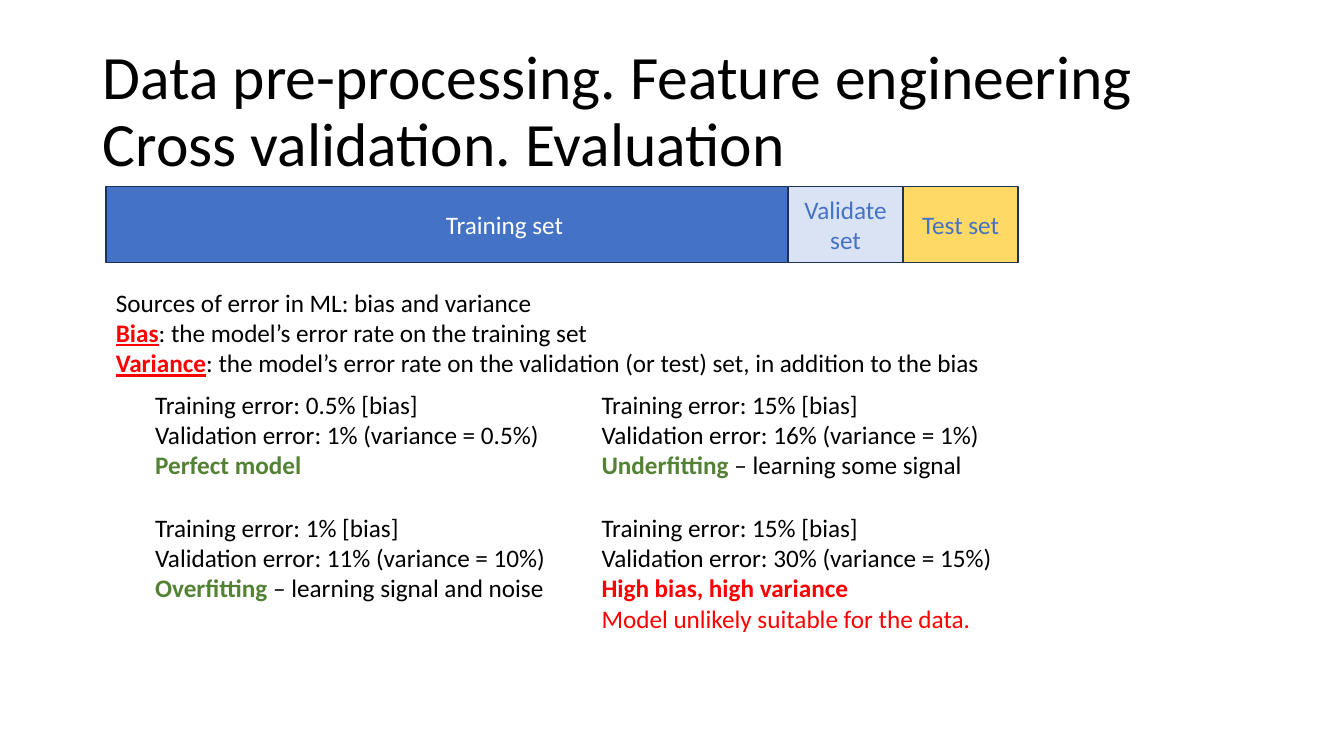
from pptx import Presentation
from pptx.util import Cm, Pt
from pptx.dml.color import RGBColor
from pptx.enum import shapes, text as tx

THEME = {
    "font": "Calibri", "head": 44, "body": 18, "edge": "1E3256",
    "black": "000000", "white": "FFFFFF", "blue": "4472C4",
    "pale": "DAE3F3", "gold": "FFD966", "red": "FF0000", "green": "548235",
}
PLAIN = {"ink": "black"}
TERM = {"ink": "red", "bold": True, "underline": True}
GOOD = {"ink": "green", "bold": True}
BAD = {"ink": "red", "bold": True}
WARN = {"ink": "red"}

TITLE = ["Data pre-processing. Feature engineering", "Cross validation. Evaluation"]
BARS = [
    ("Training set", 2.67, 20.09, "blue", "white"),
    ("Test set", 22.76, 2.9, "gold", "blue"),
    ("Validate set", 19.86, 2.9, "pale", "blue"),
]
INTRO = [
    [("Sources of error in ML: bias and variance", PLAIN)],
    [("Bias", TERM), (": the model’s error rate on the training set", PLAIN)],
    [("Variance", TERM),
     (": the model’s error rate on the validation (or test) set, in addition to the bias", PLAIN)],
]
CASES = [
    ("0.5%", "1%", "0.5%", [[("Perfect model", GOOD)]]),
    ("1%", "11%", "10%",
     [[("Overfitting ", GOOD), ("– learning signal and noise", PLAIN)]]),
    ("15%", "16%", "1%",
     [[("Underfitting ", GOOD), ("– learning some signal", PLAIN)]]),
    ("15%", "30%", "15%",
     [[("High bias, high variance", BAD)],
      [("Model unlikely suitable for the data.", WARN)]]),
]


def style(run, ink, size="body", **marks):
    run.font.color.rgb = RGBColor.from_string(THEME[ink])
    form = {"name": THEME["font"], "size": Pt(THEME[size]), **marks}
    for key, val in form.items():
        setattr(run.font, key, val)


def add_run(para, words, **form):
    run = para.add_run()
    run.text = words
    style(run, **form)


def add_text(slide, box, lines, wrap=True):
    frame = slide.shapes.add_textbox(*map(Cm, box)).text_frame
    frame.word_wrap = wrap
    frame.auto_size = tx.MSO_AUTO_SIZE.SHAPE_TO_FIT_TEXT
    for i, line in enumerate(lines):
        para = frame.add_paragraph() if i else frame.paragraphs[0]
        for words, form in line:
            add_run(para, words, **form)


def add_title(slide):
    frame = slide.shapes.add_textbox(*map(Cm, (2.34, 1.01, 29.21, 3.68))).text_frame
    frame.word_wrap = True
    frame.vertical_anchor = tx.MSO_ANCHOR.MIDDLE
    para = frame.paragraphs[0]
    para.line_spacing = 0.9
    for i, words in enumerate(TITLE):
        if i:
            para.add_line_break()
        add_run(para, words, ink="black", size="head")


def add_bar(slide, words, left, width, fill, ink):
    bar = slide.shapes.add_shape(
        shapes.MSO_SHAPE.RECTANGLE, Cm(left), Cm(4.7), Cm(width), Cm(1.91))
    bar.shadow.inherit = False
    bar.fill.solid()
    bar.fill.fore_color.rgb = RGBColor.from_string(THEME[fill])
    bar.line.color.rgb = RGBColor.from_string(THEME["edge"])
    bar.line.width = Pt(1)
    frame = bar.text_frame
    frame.word_wrap = True
    frame.vertical_anchor = tx.MSO_ANCHOR.MIDDLE
    para = frame.paragraphs[0]
    para.alignment = tx.PP_ALIGN.CENTER
    add_run(para, words, ink=ink)


def main():
    deck = Presentation()
    deck.slide_width, deck.slide_height = Cm(33.87), Cm(19.05)
    slide = deck.slides.add_slide(deck.slide_layouts[6])
    add_title(slide)
    for bar in BARS:
        add_bar(slide, *bar)
    add_text(slide, (2.67, 7.11, 22.53, 2.57), INTRO, wrap=False)
    for i, (train, valid, gap, notes) in enumerate(CASES):
        col, row = divmod(i, 2)
        lines = [
            [(f"Training error: {train} [bias]", PLAIN)],
            [(f"Validation error: {valid} (variance = {gap})", PLAIN)],
        ] + notes
        high = 0.29 + 0.76 * len(lines)
        add_text(slide, (3.66 + 11.25 * col, 9.68 + 3.1 * row, 10.74, high), lines)
    deck.save("out.pptx")


if __name__ == "__main__":
    main()
